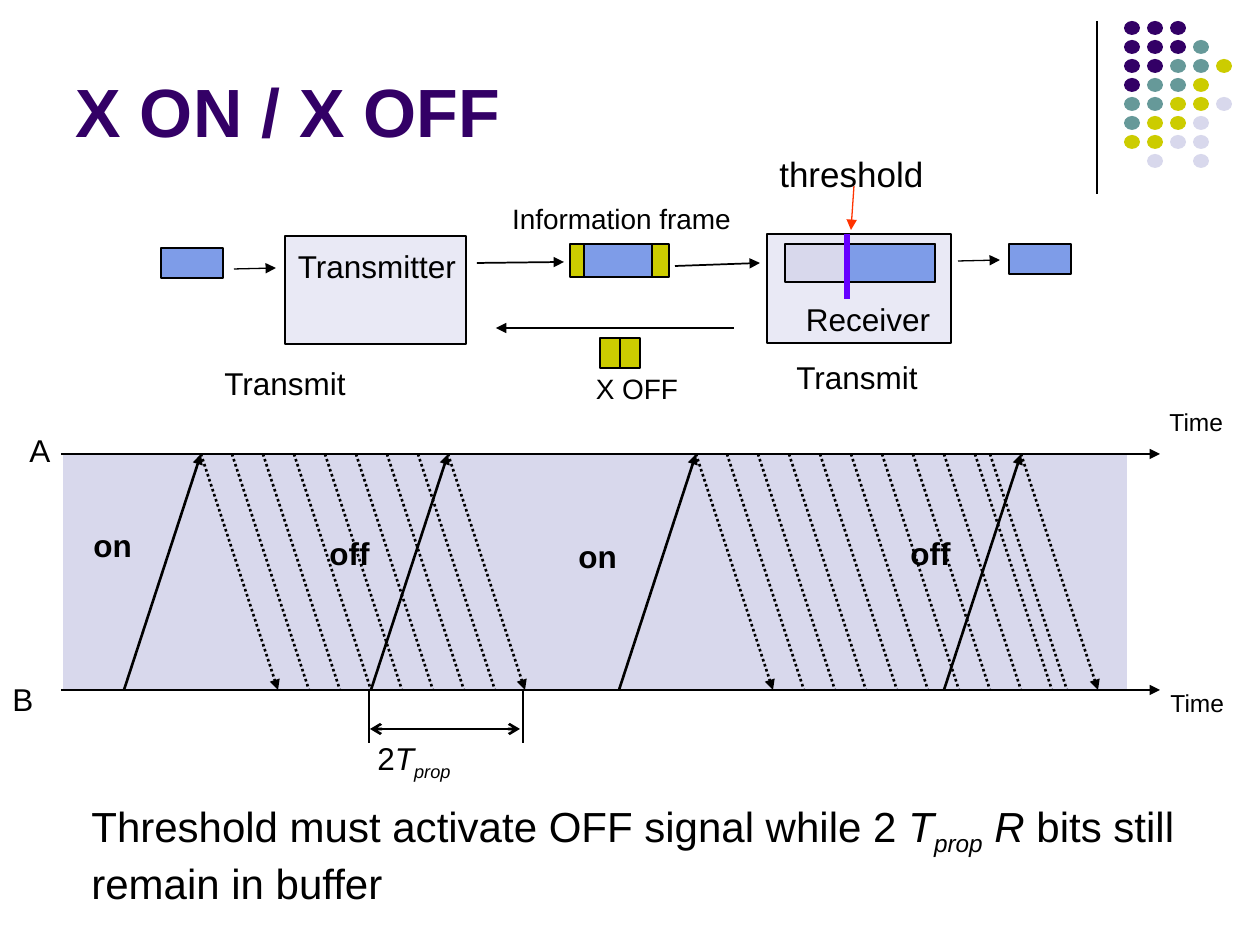
from lxml.etree import SubElement
from pptx import Presentation
from pptx.dml.color import RGBColor
from pptx.enum.dml import MSO_LINE
from pptx.enum.shapes import MSO_CONNECTOR, MSO_SHAPE as SHAPE
from pptx.enum.text import MSO_ANCHOR as ANCHOR, MSO_AUTO_SIZE as AUTO, PP_ALIGN as ALIGN
from pptx.oxml.ns import qn
from pptx.util import Pt

PX = 914400 / 126
BLACK, PURPLE, TEAL, GOLD = "000000", "330066", "669999", "CCCC00"
LILAC, PALE, BLUE = "D8D8EC", "E9E9F5", "7E9CE8"

# Corner ornament: one letter per dot
DOT_COLORS = {"P": PURPLE, "T": TEAL, "G": GOLD, "L": LILAC}
DOT_ROWS = ["PPP", "PPPT", "PPTTG", "PTTG", "TTGGL", "TGGL", "GGLL", " L L"]

# Timing diagram: where each control signal reaches A, and the frames sent
TOP, BOTTOM, RUN, STEP = 454, 690, 77, 31
SIGNALS = [201, 448, 696, 1021]
FRAMES = [201 + STEP * i for i in range(1, 8)] + [696 + STEP * i for i in range(1, 10)] + [990]

# Block diagram: left, top, width, height, fill, line width
BLOCKS = [
    (570, 244, 99, 33, GOLD, 1),
    (584, 244, 68, 33, BLUE, 1),
    (285, 236, 181, 108, PALE, 1),
    (767, 234, 184, 109, PALE, 1),
    (600, 338, 20, 30, GOLD, 1),
    (620, 338, 20, 30, GOLD, 1),
    (785, 244, 150, 38, LILAC, 0.75),
    (848, 244, 87, 38, BLUE, 0.75),
    (161, 248, 62, 30, BLUE, 0.75),
    (1009, 244, 62, 30, BLUE, 0.75),
]
# x1, y1, x2, y2, colour, width, end arrow
BLOCK_LINES = [
    (477, 263, 564, 262, BLACK, 1, "triangle"),
    (675, 266, 760, 263, BLACK, 1, "triangle"),
    (734, 328, 496, 328, BLACK, 1, "triangle"),
    (854, 186, 851, 230, "FF3300", 0.75, "triangle"),
    (234, 269, 276, 268, BLACK, 0.75, "triangle"),
    (958, 261, 1000, 260, BLACK, 0.75, "triangle"),
    (847, 234, 847, 299, "6600FF", 3, None),
]

# Labels: text, left, top, width, height, format
LEFT_LABELS = [
    ("on", 81, 520, 66, 50, {"bold": True}),
    ("off", 317, 528, 68, 50, {"bold": True}),
    ("off", 898, 528, 68, 50, {"bold": True}),
    ("on", 566, 531, 66, 50, {"bold": True}),
    ("A", 17, 425, 48, 50, {}),
    ("B", 0, 674, 48, 50, {}),
    ("Time", 1157, 401, 81, 43, {"size": 14}),
    ("Time", 1158, 682, 81, 43, {"size": 14}),
    ("Transmit", 212, 358, 150, 50, {}),
    ("Transmit", 784, 352, 150, 50, {}),
]
CENTRED_LABELS = [
    ("Information frame", 474, 195, 295, 45, {"size": 16}),
    ("X OFF", 504, 365, 266, 45, {"size": 16}),
    ("Transmitter", 283, 241, 188, 50, {}),
    ("Receiver", 791, 294, 154, 50, {}),
    ("threshold", 764, 146, 175, 55, {"size": 20}),
]

# Mixed text: (text, italic, subscript)
DELAY = [("2", False, False), ("T", True, False), ("prop", True, True)]
RULE = [("Threshold must activate OFF signal while 2 ", False, False),
        ("T", True, False), ("prop", True, True), (" R", True, False),
        (" bits still remain in buffer", False, False)]


def emu(*values):
    return [round(v * PX) for v in values]


def rgb(color):
    return RGBColor.from_string(color)


def write(tf, runs, size=18, bold=False, color=BLACK, align=ALIGN.LEFT):
    p = tf.paragraphs[0]
    p.alignment = align
    if isinstance(runs, str):
        runs = [(runs, False, False)]
    for text, italic, subscript in runs:
        r = p.add_run()
        r.text = text
        f = r.font
        f.name, f.size, f.bold, f.italic = "Arial", Pt(size), bold, italic
        f.color.rgb = rgb(color)
        if subscript:
            r._r.get_or_add_rPr().set("baseline", "-25000")


def add_text(runs, x, y, w, h, wrap=False, **fmt):
    tf = s.shapes.add_textbox(*emu(x, y, w, h)).text_frame
    tf.word_wrap = wrap
    tf.auto_size = AUTO.SHAPE_TO_FIT_TEXT
    write(tf, runs, **fmt)


def add_block(kind, x, y, w, h, fill, width=None):
    sp = s.shapes.add_shape(kind, *emu(x, y, w, h))
    sp.shadow.inherit = False
    sp.fill.solid()
    sp.fill.fore_color.rgb = rgb(fill)
    if width:
        sp.line.color.rgb = rgb(BLACK)
        sp.line.width = Pt(width)
    else:
        sp.line.fill.background()


def add_line(x1, y1, x2, y2, color=BLACK, width=1, tail=None, head=None, dotted=False):
    c = s.shapes.add_connector(MSO_CONNECTOR.STRAIGHT, *emu(x1, y1, x2, y2))
    c.line.color.rgb = rgb(color)
    c.line.width = Pt(width)
    if dotted:
        c.line.dash_style = MSO_LINE.ROUND_DOT
    ln = c.line._get_or_add_ln()
    for tag, arrow in (("a:headEnd", head), ("a:tailEnd", tail)):
        if arrow:
            SubElement(ln, qn(tag), type=arrow)
    SubElement(c._element.spPr, qn("a:effectLst"))


prs = Presentation()
prs.slide_width, prs.slide_height = emu(1260, 945)
s = prs.slides.add_slide(prs.slide_layouts[5])

# Title
title = s.shapes.title
title.left, title.top, title.width, title.height = emu(63, 16, 1040, 141)
tf = title.text_frame
tf.auto_size = AUTO.NONE
tf.vertical_anchor = ANCHOR.BOTTOM
write(tf, "X ON / X OFF", size=39, bold=True, color=PURPLE)

# Corner ornament
add_line(1097, 21, 1097, 194, width=0.75)
for row, letters in enumerate(DOT_ROWS):
    for col, letter in enumerate(letters):
        if letter in DOT_COLORS:
            add_block(SHAPE.OVAL, 1124 + 23 * col, 21 + 19 * row, 16, 14, DOT_COLORS[letter])

# Timing diagram
add_block(SHAPE.RECTANGLE, 63, TOP, 1064, BOTTOM - TOP, LILAC)
for y in (TOP, BOTTOM):
    add_line(61, y, 1160, y, tail="triangle")
for x in SIGNALS:
    add_line(x - RUN, BOTTOM, x, TOP, width=1.5, tail="triangle")
    add_line(x, TOP, x + RUN, BOTTOM, width=1.5, tail="triangle", dotted=True)
for x in FRAMES:
    add_line(x, TOP, x + RUN, BOTTOM, width=1.5, dotted=True)

# Round-trip delay measure
for x in (369, 523):
    add_line(x, BOTTOM, x, 743)
add_line(370, 729, 520, 729, width=1.5, head="arrow", tail="arrow")
add_text(DELAY, 365, 733, 161, 55, wrap=True)

# Block diagram
for block in BLOCKS:
    add_block(SHAPE.RECTANGLE, *block)
for line in BLOCK_LINES:
    add_line(*line)

# Labels and closing rule
for labels, align in ((LEFT_LABELS, ALIGN.LEFT), (CENTRED_LABELS, ALIGN.CENTER)):
    for *place, fmt in labels:
        add_text(*place, align=align, **fmt)
add_text(RULE, 79, 794, 1116, 121, wrap=True, size=24)

prs.save("out.pptx")
